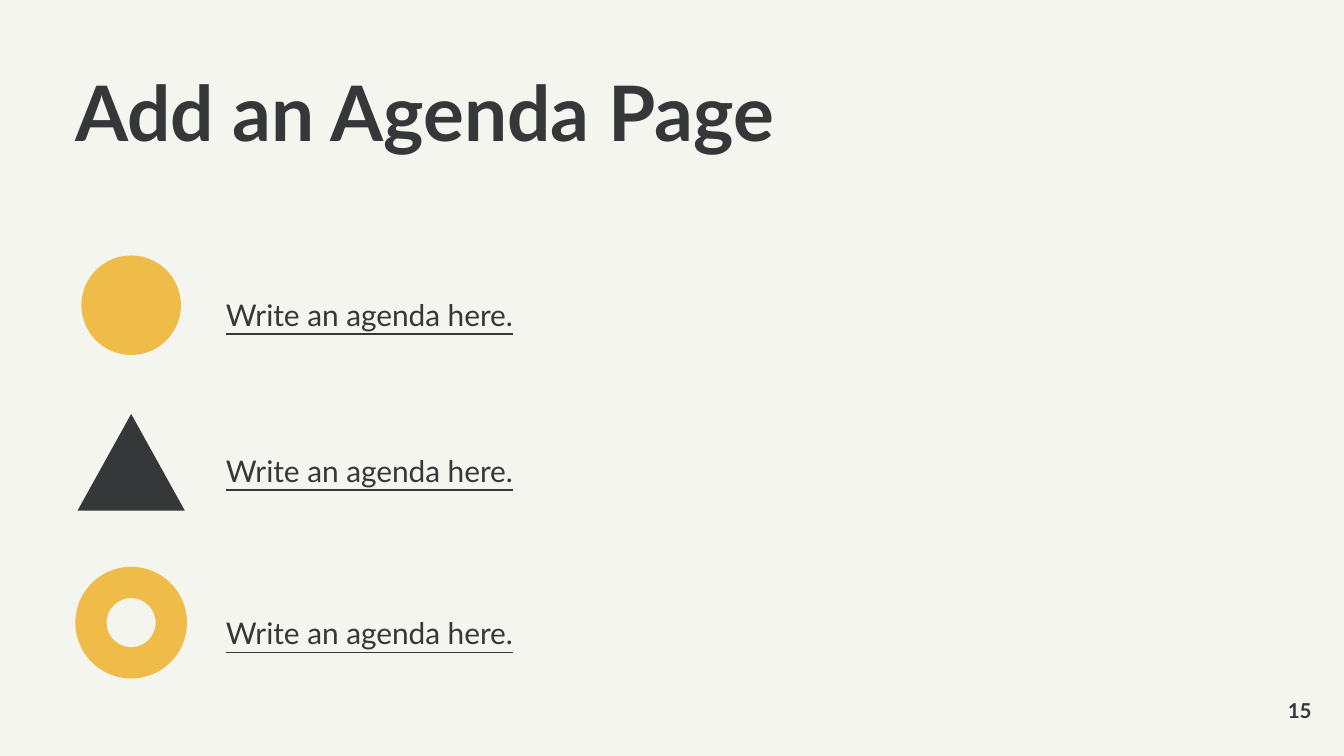
from dataclasses import dataclass

from pptx import Presentation
from pptx.dml.color import RGBColor
from pptx.enum import shapes, text
from pptx.util import Cm, Pt


@dataclass(frozen=True)
class Theme:
    font: str = "Lato"
    paper: str = "F5F5EF"
    dark: str = "363739"
    gold: str = "EFBC49"
    title: int = 41
    body: int = 16
    page: int = 11


THEME = Theme()
KIND = shapes.MSO_SHAPE
AXIS = 2.48
AGENDA = [
    (KIND.OVAL, 5.77, 1.88, 1.88, THEME.gold, 5.33),
    (KIND.ISOSCELES_TRIANGLE, 8.74, 2.03, 1.83, THEME.dark, 8.28),
    (KIND.DONUT, 11.77, 2.11, 2.11, THEME.gold, 11.35),
]


def paint(fill, color):
    fill.solid()
    fill.fore_color.rgb = RGBColor.from_string(color)


def add_text(slide, words, box, size, bold=False, line=None, under=None):
    frame = slide.shapes.add_textbox(*map(Cm, box)).text_frame
    frame.word_wrap = True
    frame.margin_left = frame.margin_right = 0
    frame.margin_top = frame.margin_bottom = 0
    para = frame.paragraphs[0]
    para.text = words
    para.line_spacing = line
    font = para.font
    font.name, font.size, font.bold = THEME.font, Pt(size), bold
    font.underline = under
    font.color.rgb = RGBColor.from_string(THEME.dark)
    return frame


def add_icon(slide, kind, mid, width, height, color):
    box = (AXIS - width / 2, mid - height / 2, width, height)
    icon = slide.shapes.add_shape(kind, *map(Cm, box))
    icon.shadow.inherit = False
    icon.line.fill.background()
    paint(icon.fill, color)
    return icon


def add_item(slide, kind, mid, width, height, color, top):
    icon = add_icon(slide, kind, mid, width, height, color)
    if kind == KIND.DONUT:
        icon.adjustments[0] = 0.28
    add_text(slide, "Write an agenda here.", (4.27, top, 10.9, 0.69),
             THEME.body, line=1.4, under=True)


def add_page(slide, number):
    frame = add_text(slide, number, (23.27, 13.18, 1.52, 0.51),
                     THEME.page, bold=True)
    frame.vertical_anchor = text.MSO_ANCHOR.MIDDLE
    frame.paragraphs[0].alignment = text.PP_ALIGN.RIGHT


def main():
    deck = Presentation()
    deck.slide_width, deck.slide_height = Cm(25.4), Cm(14.29)
    slide = deck.slides.add_slide(deck.slide_layouts[6])
    paint(slide.background.fill, THEME.paper)
    add_text(slide, "Add an Agenda Page", (1.42, 1.42, 18, 2),
             THEME.title, bold=True, line=0.9)
    for item in AGENDA:
        add_item(slide, *item)
    add_page(slide, "15")
    deck.save("out.pptx")


if __name__ == "__main__":
    main()
